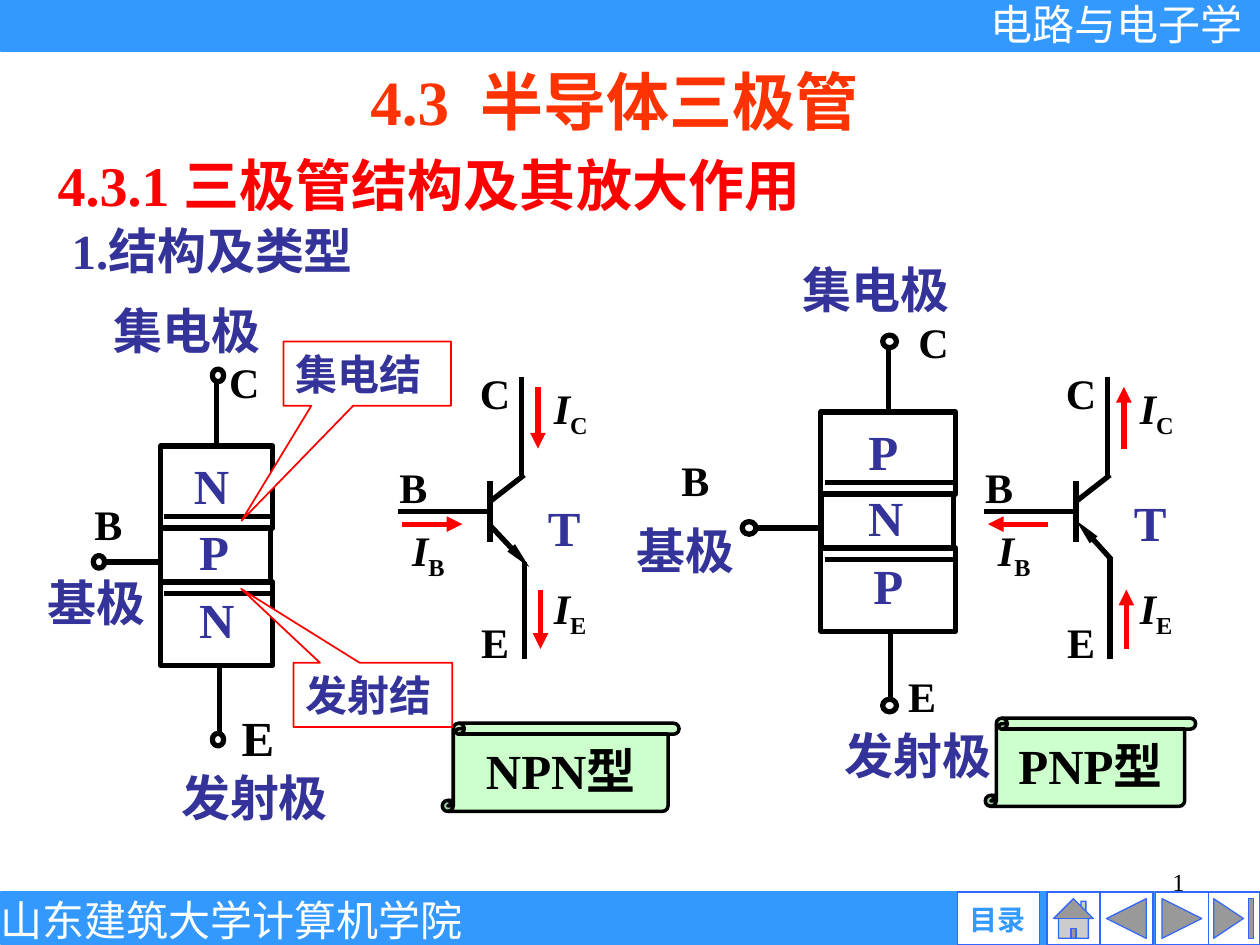
from lxml import etree
from pptx import Presentation
from pptx import util as u
from pptx.dml.color import RGBColor
from pptx.enum import shapes, text
from pptx.oxml.ns import qn

BLUE = RGBColor(0x33, 0x99, 0xFF)
EDGE = RGBColor(0x33, 0x66, 0xFF)
NAVY = RGBColor(0x33, 0x33, 0x99)
RED = RGBColor(0xFF, 0x00, 0x00)
ORANGE = RGBColor(0xFF, 0x33, 0x00)
GREEN = RGBColor(0xCC, 0xFF, 0xCC)
BLACK = RGBColor(0, 0, 0)
WHITE = RGBColor(0xFF, 0xFF, 0xFF)

KIND = shapes.MSO_SHAPE
LEFT, MID, RIGHT = text.PP_ALIGN.LEFT, text.PP_ALIGN.CENTER, text.PP_ALIGN.RIGHT
TOP, HALF = text.MSO_ANCHOR.TOP, text.MSO_ANCHOR.MIDDLE
ROMAN, SANS = "Times New Roman", "Arial"


def write(frame, words, size=28, color=NAVY, font=ROMAN, bold=True,
          align=LEFT, anchor=HALF, wrap=True, inset=True):
    """Fill a frame; "I_C" gives an italic I with an upright subscript C."""
    frame.word_wrap = wrap
    frame.vertical_anchor = anchor
    if not inset:
        frame.margin_left = frame.margin_right = 0
        frame.margin_top = frame.margin_bottom = 0
    para = frame.paragraphs[0]
    para.alignment = align
    parts = words.split("_")
    for i, part in enumerate(parts):
        run = para.add_run()
        run.text = part
        run.font.size, run.font.name = u.Pt(size), font
        run.font.bold, run.font.color.rgb = bold, color
        run.font.italic = len(parts) > 1 and i == 0
        if i:
            run._r.get_or_add_rPr().set("baseline", "-25000")


class Board:
    """Holds the style and the current slide."""

    def __init__(self, slide, ink=BLACK, width=3):
        self.slide, self.ink, self.width = slide, ink, width

    def label(self, box, words, **form):
        item = self.slide.shapes.add_textbox(*map(u.Inches, box))
        write(item.text_frame, words, **form)

    def shape(self, kind, box, fill=None, ink=None, width=None, adjust=()):
        item = self.slide.shapes.add_shape(kind, *map(u.Inches, box))
        item.shadow.inherit = False
        if fill is None:
            item.fill.background()
        else:
            item.fill.solid()
            item.fill.fore_color.rgb = fill
        item.line.color.rgb = self.ink if ink is None else ink
        item.line.width = u.Pt(width or self.width)
        for i, value in enumerate(adjust):
            item.adjustments[i] = value
        return item

    def line(self, start, end, ink=None, width=None, head=None):
        """Draw a line; head is the (width, length) of an arrowhead."""
        item = self.slide.shapes.add_connector(
            shapes.MSO_CONNECTOR.STRAIGHT, *map(u.Inches, (*start, *end)))
        item.line.color.rgb = self.ink if ink is None else ink
        item.line.width = u.Pt(width or self.width)
        if head:
            etree.SubElement(item.line._get_or_add_ln(), qn("a:tailEnd"),
                             type="triangle", w=head[0], len=head[1])
        etree.SubElement(item._element.spPr, qn("a:effectLst"))

    def pin(self, x, y, wide):
        self.shape(KIND.OVAL, (x - wide / 2, y - 0.05, wide, 0.1))

    def chip(self, mid, top, wide, layers, lead, dot):
        """Three stacked layers with leads for C, B and E."""
        left = mid - wide / 2
        for y, high, trim in ((1.08, 0.66, 0), (0, 0.65, 0), (0.65, 0.43, 0.02)):
            self.shape(KIND.RECTANGLE, (left, top + y, wide - trim, high))
        for y in (0.56, 1.17):
            self.line((left + 0.03, top + y), (left + wide - 0.02, top + y), width=2.5)
        for x, near, far, ring in ((0, 0, -0.52, -0.56), (0.02, 1.76, 2.28, 2.33)):
            self.line((mid + x, top + near), (mid + x, top + far))
            self.pin(mid + 0.01, top + ring, dot)
        self.line((left, top + 0.92), (left - lead, top + 0.92))
        self.pin(left - lead - 0.03, top + 0.92, dot)
        for name, x, y in zip(layers, (-0.04, -0.02, 0), (0.31, 0.84, 1.38)):
            self.label((mid + x - 0.3, top + y - 0.29, 0.6, 0.57), name, align=MID)

    def symbol(self, x, npn):
        """Circuit symbol whose base lead starts at x."""
        low = 4.46 if npn else 4.42
        for a, b in (((0, 4.06), (0.75, 4.06)), ((0.73, 3.82), (0.73, 4.3)),
                     ((0.73, 3.98), (1, 3.77)), ((0.98, 2.99), (0.98, 3.77)),
                     ((1, low), (1, 5.23))):
            self.line((x + a[0], a[1]), (x + b[0], b[1]))
        # Emitter arrow
        a, b = (((0.72, 4.16), (1.04, 4.5)) if npn else ((1.01, 4.44), (0.73, 4.13)))
        self.line((x + a[0], a[1]), (x + b[0], b[1]), head=("sm", "lg"))
        # Current arrows, reversed for PNP
        for a, b in (((0.03, 4.16), (0.51, 4.16)), ((1.13, 4.68), (1.13, 5.15)),
                     ((1.11, 3.07), (1.11, 3.56))):
            a, b = (a, b) if npn else (b, a)
            self.line((x + a[0], a[1]), (x + b[0], b[1]), ink=RED,
                      head=("med", "med"))
        for words, dx, y, wide in (("B", -0.09, 3.61, 0.42), ("E", 0.56, 4.84, 0.42),
                                   ("C", 0.55, 2.87, 0.44), ("I_B", 0, 4.14, 0.48),
                                   ("I_E", 1.13, 4.6, 0.47), ("I_C", 1.13, 3.01, 0.48)):
            self.label((x + dx, y, wide, 0.5), words, size=24, color=BLACK,
                       align=MID, wrap=False)
        self.label((x + 1.09, 3.9 if npn else 3.86, 0.46, 0.57), "T",
                   anchor=TOP, wrap=False)

    def note(self, kind, box, words, fill, ink, width, adjust, **form):
        item = self.shape(kind, box, fill, ink, width, adjust)
        write(item.text_frame, words, **form)


def main():
    deck = Presentation()
    deck.slide_width, deck.slide_height = u.Inches(10), u.Inches(7.5)
    board = Board(deck.slides.add_slide(deck.slide_layouts[6]))

    # Bars and page number
    board.label((7.17, 6.83, 2.33, 0.52), "1", size=14, color=BLACK, bold=False,
                align=RIGHT, anchor=TOP)
    for y in (7.09, 0):
        board.shape(KIND.RECTANGLE, (0.01, y, 9.99, 0.39), BLUE, BLUE)
    bar = dict(size=24, color=WHITE, bold=False, inset=False)
    board.label((7.86, -0.01, 2.1, 0.4), "电路与电子学", font=SANS, wrap=False, **bar)
    board.label((0, 7.1, 3.67, 0.4), "山东建筑大学计算机学院", align=MID, wrap=False, **bar)

    # Page buttons
    for kind, x, wide in ((KIND.ACTION_BUTTON_END, 9.58, 0.42),
                          (KIND.ACTION_BUTTON_FORWARD_OR_NEXT, 9.17, 0.42),
                          (KIND.ACTION_BUTTON_BACK_OR_PREVIOUS, 8.73, 0.42),
                          (KIND.ACTION_BUTTON_HOME, 8.31, 0.42),
                          (KIND.ACTION_BUTTON_CUSTOM, 7.6, 0.65)):
        board.shape(kind, (x, 7.08, wide, 0.42), WHITE, EDGE, 0.75)
    board.label((7.6, 7.16, 0.63, 0.27), "目录", size=16, color=BLUE, font=SANS,
                align=MID, inset=False)

    # Headings
    board.label((2.84, 0.45, 4.61, 0.7), "4.3  半导体三极管", size=36, color=ORANGE,
                anchor=TOP)
    board.label((0.36, 1.15, 6.45, 0.63), "4.3.1 三极管结构及其放大作用", size=32,
                color=RED)
    board.label((0.47, 1.7, 3.04, 0.57), "1.结构及类型", anchor=TOP)

    # Terminal letters and names
    for words, x, y, size in (("B", 0.65, 3.91, 24), ("E", 1.82, 5.56, 28),
                              ("C", 1.72, 2.78, 24), ("B", 5.31, 3.56, 24),
                              ("E", 7.11, 5.27, 24), ("C", 7.19, 2.46, 24)):
        board.label((x, y, 0.73, 0.57 if size == 28 else 0.5), words, size=size,
                    color=BLACK)
    for words, x, y, wide in (("基极", 0.2, 4.49, 1.13), ("发射极", 1.09, 6.04, 1.86),
                              ("集电极", 0.67, 2.33, 1.63), ("基极", 4.95, 4.08, 0.98),
                              ("发射极", 6.6, 5.71, 1.37), ("集电极", 6.18, 2.01, 1.54)):
        board.label((x, y, wide, 0.57), words, align=MID, wrap=False)

    # Type scrolls
    for words, box in (("NPN型", (3.51, 5.74, 1.88, 0.7)),
                       ("PNP型", (7.82, 5.7, 1.67, 0.7))):
        board.note(KIND.VERTICAL_SCROLL, box, words, GREEN, BLACK, 2, (0.125,),
                   color=BLACK, align=MID, wrap=False)

    # Layer diagrams
    board.chip(1.72, 3.54, 0.89, "NPN", 0.46, 0.09)
    board.chip(7.05, 3.27, 1.07, "PNP", 0.54, 0.11)

    # Junction callouts
    for words, box, tip in (("发射结", (2.33, 5.26, 1.26, 0.51), (-0.83, -1.65)),
                            ("集电结", (2.25, 2.71, 1.33, 0.51), (-0.75, 2.29))):
        board.note(KIND.RECTANGULAR_CALLOUT, box, words, WHITE, RED, 1, tip, size=24)

    # Circuit symbols
    board.symbol(3.16, npn=True)
    board.symbol(7.81, npn=False)

    deck.save("out.pptx")


if __name__ == "__main__":
    main()
